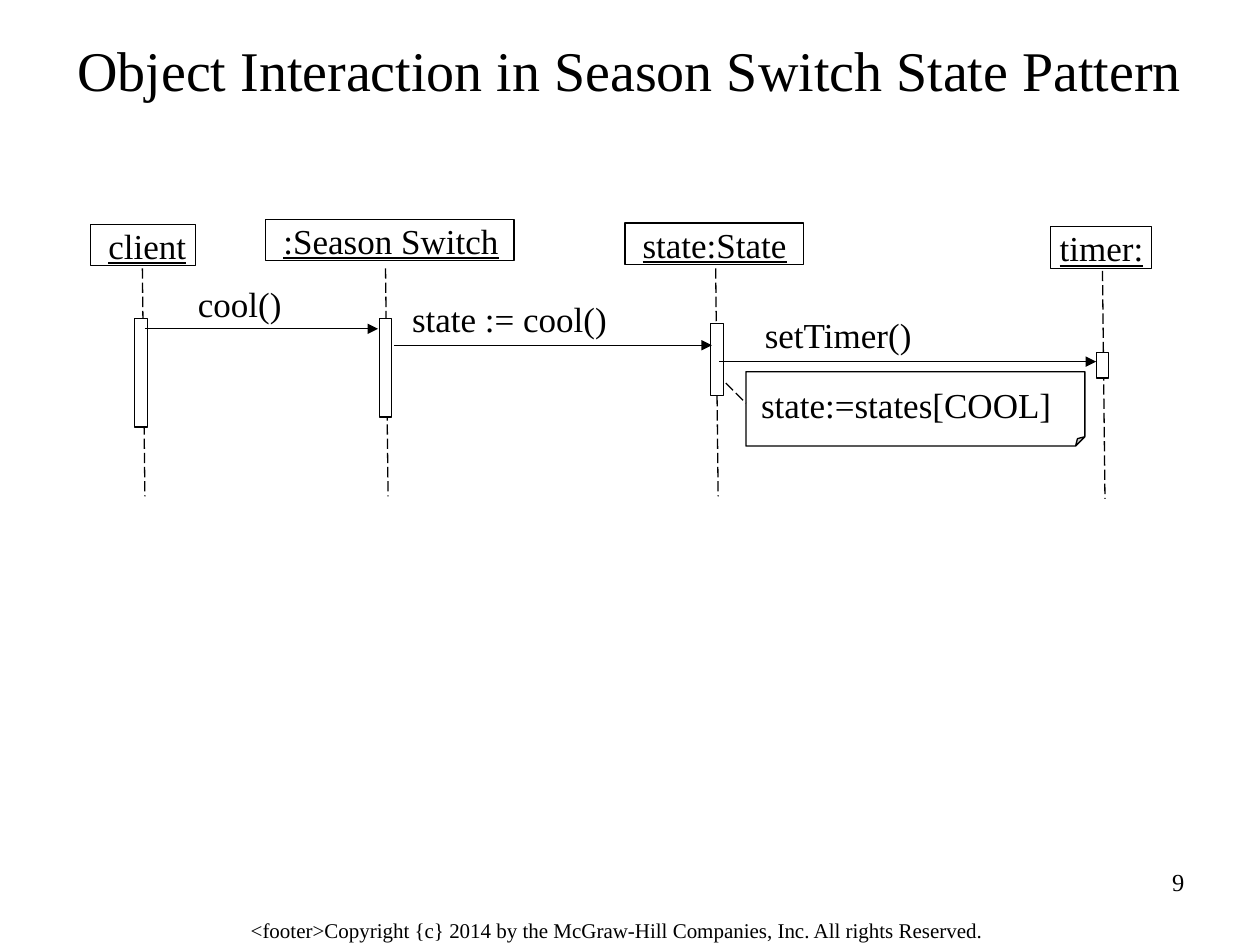
from pptx import Presentation
from pptx.dml.color import RGBColor
from pptx.enum.dml import MSO_LINE_DASH_STYLE as Dash
from pptx.enum.shapes import MSO_CONNECTOR as Connector, MSO_SHAPE as Shape
from pptx.enum.text import MSO_ANCHOR as Anchor, PP_ALIGN as Align
from pptx.oxml.ns import qn
from pptx.util import Inches, Pt
from lxml.etree import SubElement

COLORS = {"ink": "000000", "paper": "FFFFFF"}
FONT = "Times New Roman"
BAR_WIDTH = 0.1
LINE_WIDTH = 0.75

PARTICIPANTS = [
    {"name": "client", "header": (0.72, 1.78, 0.83), "indent": 0.14,
     "lifeline": (1.13, 2.13), "bar": (1.07, 2.53, 0.86)},
    {"name": ":Season Switch", "header": (2.11, 1.74, 1.97), "indent": 0.14,
     "lifeline": (3.06, 2.13), "bar": (3.01, 2.53, 0.78)},
    {"name": "state:State", "header": (4.96, 1.77, 1.42), "indent": 0.14,
     "lifeline": (5.68, 2.13), "bar": (5.64, 2.57, 0.57)},
    {"name": "timer:", "header": (8.34, 1.8, 0.8), "indent": 0.07,
     "lifeline": (8.75, 2.15), "bar": (8.7, 2.8, 0.2)},
]
MESSAGES = [
    ("cool()", (1.57, 2.24, 0.67), (1.15, 3, 2.61)),
    ("state := cool()", (3.27, 2.36, 1.55), (3.13, 5.65, 2.74)),
    ("setTimer()", (6.07, 2.49, 1.18), (5.71, 8.7, 2.87)),
]


def color(name):
    return RGBColor.from_string(COLORS[name])


def set_text(shape, text, size=20, align=Align.LEFT, anchor=Anchor.TOP,
             indent=0, wrap=False, underline=False):
    frame = shape.text_frame
    frame.text = text
    frame.word_wrap = wrap
    frame.vertical_anchor = anchor
    frame.margin_left = Inches(indent)
    frame.margin_right = frame.margin_top = frame.margin_bottom = 0
    para = frame.paragraphs[0]
    para.alignment = align
    for span in para.runs:
        span.font.name = FONT
        span.font.size = Pt(size)
        span.font.underline = underline
        span.font.color.rgb = color("ink")
    return para


def add_label(page, box, text, **style):
    label = page.shapes.add_textbox(*map(Inches, box))
    return set_text(label, text, **style)


def add_outlined(page, kind, box, filled=True):
    shape = page.shapes.add_shape(kind, *map(Inches, box))
    shape.shadow.inherit = False
    if filled:
        shape.fill.solid()
        shape.fill.fore_color.rgb = color("paper")
    else:
        shape.fill.background()
    shape.line.color.rgb = color("ink")
    shape.line.width = Pt(LINE_WIDTH)
    return shape


def add_line(page, start, end, dashed=False, arrow=False):
    line = page.shapes.add_connector(
        Connector.STRAIGHT, *map(Inches, (*start, *end)))
    line.line.color.rgb = color("ink")
    line.line.width = Pt(LINE_WIDTH)
    if dashed:
        line.line.dash_style = Dash.LONG_DASH
    properties = line._element.spPr
    if arrow:
        SubElement(properties.find(qn("a:ln")), qn("a:tailEnd"),
                   type="triangle", w="med", len="med")
    SubElement(properties, qn("a:effectLst"))


def add_title(page, box, text):
    title = page.shapes.title
    title.left, title.top, title.width, title.height = map(Inches, box)
    set_text(title, text, size=32, align=Align.CENTER, anchor=Anchor.MIDDLE,
             wrap=True)


def add_lifeline(page, participant):
    left, top = participant["lifeline"]
    add_line(page, (left, top), (left + 0.02, top + 1.81), dashed=True)


def add_participant(page, participant):
    left, top, width = participant["header"]
    header = add_outlined(page, Shape.RECTANGLE, (left, top, width, 0.33),
                          filled=False)
    set_text(header, participant["name"], indent=participant["indent"],
             underline=True)
    left, top, height = participant["bar"]
    add_outlined(page, Shape.RECTANGLE, (left, top, BAR_WIDTH, height))


def add_message(page, text, label, arrow):
    add_label(page, (*label, 0.33), text)
    start, end, height = arrow
    add_line(page, (start, height), (end, height), arrow=True)


def add_note(page, box, text):
    left, top, width, height = box
    note = add_outlined(page, Shape.FOLDED_CORNER, box)
    guides = next(note._element.iter(qn("a:avLst")))
    SubElement(guides, qn("a:gd"), name="adj", fmla="val 12500")
    para = add_label(page, (left + 0.12, top + 0.17, width - 0.29, 0.25),
                     text, wrap=True)
    para.line_spacing = 0.75
    add_line(page, (left - 0.16, top + 0.09), (left, top + 0.25), dashed=True)


def add_footer(page, box, text):
    left, top, width, height = box
    add_label(page, (left + 0.11, top + 0.06, width - 0.22, height - 0.12),
              text, size=12, wrap=True)


def add_page_number(page, box, number):
    left, top, width, height = box
    add_label(page, (left + 0.1, top + 0.05, width - 0.2, height - 0.1),
              number, size=14, align=Align.RIGHT, wrap=True)


def main():
    deck = Presentation()
    deck.slide_width, deck.slide_height = Inches(10), Inches(7.5)
    page = deck.slides.add_slide(deck.slide_layouts[5])
    page.background.fill.solid()
    page.background.fill.fore_color.rgb = color("paper")
    add_title(page, (0.5, 0.17, 9, 0.75),
              "Object Interaction in Season Switch State Pattern")
    for participant in PARTICIPANTS:
        add_lifeline(page, participant)
    add_note(page, (5.92, 2.95, 2.69, 0.59), "state:=states[COOL]")
    for participant in PARTICIPANTS:
        add_participant(page, participant)
    for message in MESSAGES:
        add_message(page, *message)
    add_footer(page, (1.88, 7.22, 6.19, 0.31),
               "<footer>Copyright {c} 2014 by the McGraw-Hill Companies, Inc. "
               "All rights Reserved.")
    add_page_number(page, (7.17, 6.83, 2.33, 0.52), "9")
    deck.save("out.pptx")


if __name__ == "__main__":
    main()
